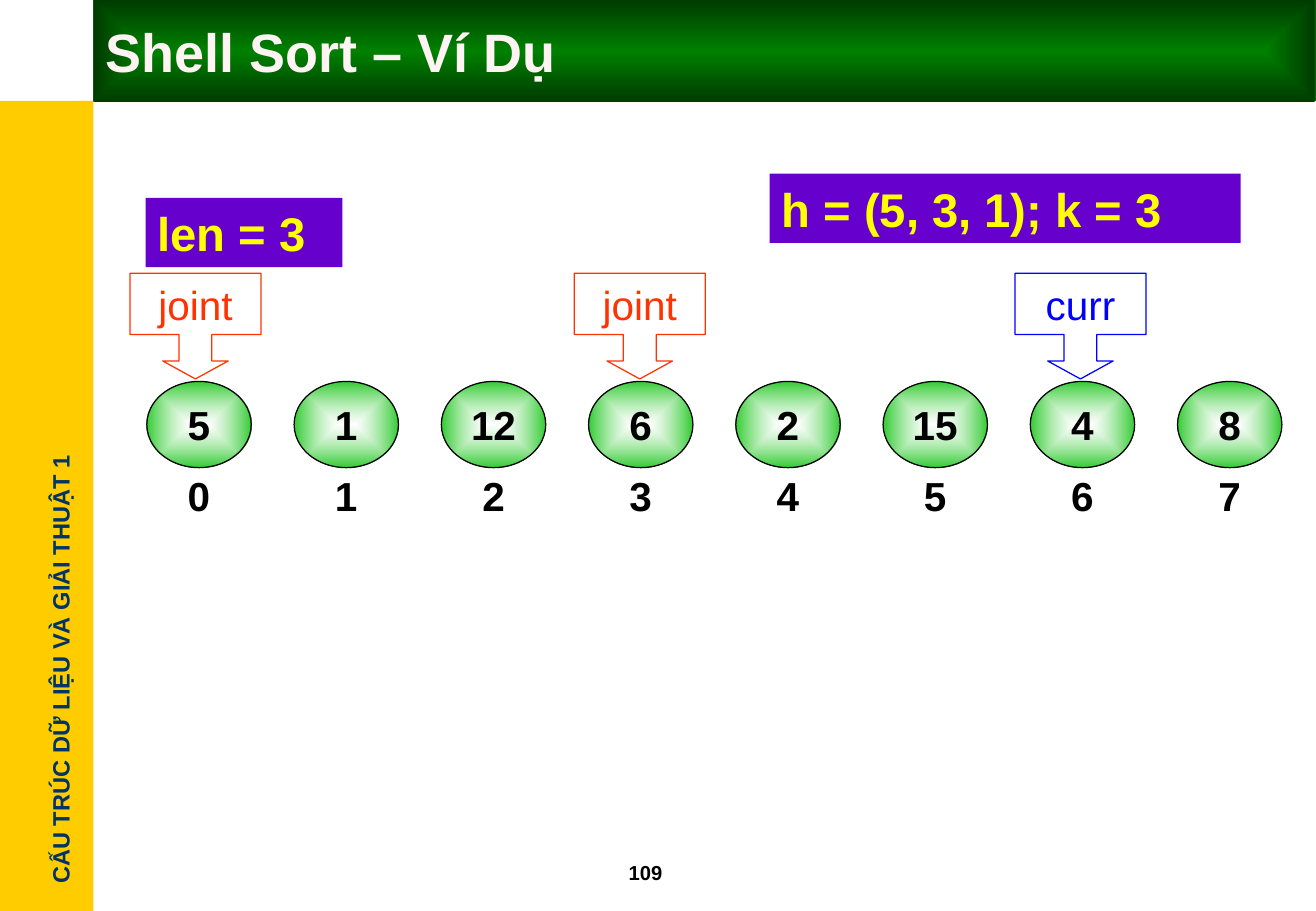
from lxml import etree
from pptx import Presentation
from pptx.dml.color import RGBColor
from pptx.enum.shapes import MSO_SHAPE
from pptx.enum.text import MSO_ANCHOR, MSO_AUTO_SIZE, PP_ALIGN
from pptx.oxml.ns import qn
from pptx.util import Inches, Pt

RECTANGLE = MSO_SHAPE.RECTANGLE
ELLIPSE = MSO_SHAPE.OVAL
CALLOUT = MSO_SHAPE.DOWN_ARROW_CALLOUT
LEFT = PP_ALIGN.LEFT
CENTER = PP_ALIGN.CENTER
MIDDLE = MSO_ANCHOR.MIDDLE
NO_AUTOFIT = MSO_AUTO_SIZE.NONE

BLACK = RGBColor(0x00, 0x00, 0x00)
WHITE = RGBColor(0xFF, 0xFF, 0xFF)
GOLD = RGBColor(0xFF, 0xCC, 0x00)
NAVY = RGBColor(0x00, 0x33, 0x66)
BAND_DARK = RGBColor(0x00, 0x2F, 0x00)
BAND_LIGHT = RGBColor(0x00, 0x66, 0x00)
TITLE_GREEN = RGBColor(0x00, 0x80, 0x00)
TITLE_EDGE = RGBColor(0x00, 0x3B, 0x00)
TITLE_TEXT = RGBColor(0xFF, 0xF3, 0xF3)
BALL_GREEN = RGBColor(0x33, 0xCC, 0x33)
PURPLE = RGBColor(0x66, 0x00, 0xCC)
YELLOW = RGBColor(0xFF, 0xFF, 0x00)
BLUE = RGBColor(0x00, 0x00, 0xFF)
ORANGE = RGBColor(0xFF, 0x33, 0x00)

VALUES = (5, 1, 12, 6, 2, 15, 4, 8)
FIRST_LEFT, LAST_LEFT = 1.21, 9.7
PITCH = (LAST_LEFT - FIRST_LEFT) / (len(VALUES) - 1)
CALLOUT_ADJUSTMENTS = (0.31, 0.31, 0.17, 0.58)
POINTERS = ((8.36, "curr", BLUE), (1.07, "joint", ORANGE), (4.73, "joint", ORANGE))
TAGS = (
    (6.34, 1.43, 3.88, "h = (5, 3, 1); k = 3"),
    (1.2, 1.63, 1.62, "len = 3"),
)


class SlideBuilder:
    font_name = "Arial"

    def __init__(self, slide):
        self.slide = slide

    def add_text(self, shape, text, size, color, bold=True, align=LEFT, wrap=True):
        frame = shape.text_frame
        frame.word_wrap = wrap
        frame.auto_size = NO_AUTOFIT
        frame.vertical_anchor = MIDDLE
        para = frame.paragraphs[0]
        para.alignment = align
        span = para.add_run()
        span.text = text
        span.font.name = self.font_name
        span.font.size = Pt(size)
        span.font.bold = bold
        span.font.color.rgb = color

    def shade(self, shape, start, end, from_center=True, start_alpha=None):
        shape.fill.gradient()
        shape.fill.gradient_angle = 0
        for stop, color in zip(shape.fill.gradient_stops, (start, end)):
            stop.color.rgb = color
        gradient = shape.element.spPr.find(qn("a:gradFill"))
        if from_center:
            gradient.remove(gradient.find(qn("a:lin")))
            center = etree.SubElement(gradient, qn("a:path"), {"path": "rect"})
            sides = dict.fromkeys("ltrb", "50000")
            etree.SubElement(center, qn("a:fillToRect"), sides)
        if start_alpha is not None:
            first_color = next(gradient.iter(qn("a:srgbClr")))
            alpha = str(start_alpha * 1000)
            etree.SubElement(first_color, qn("a:alpha"), {"val": alpha})

    def shape(self, kind, left, top, width, height, fill=None, line=None):
        shape = self.slide.shapes.add_shape(
            kind, Inches(left), Inches(top), Inches(width), Inches(height))
        shape.shadow.inherit = False
        if fill is None:
            shape.fill.background()
        else:
            shape.fill.solid()
            shape.fill.fore_color.rgb = fill
        if line is None:
            shape.line.fill.background()
        else:
            shape.line.color.rgb = line
            shape.line.width = Pt(0.75)
        return shape

    def text_box(self, left, top, width, height, text, size, color, wrap=True, rotation=0):
        box = self.slide.shapes.add_textbox(
            Inches(left), Inches(top), Inches(width), Inches(height))
        box.rotation = rotation
        self.add_text(box, text, size, color, wrap=wrap)

    def title(self, text):
        title = self.slide.shapes.title
        title.left, title.top = Inches(0.77), Inches(0)
        title.width, title.height = Inches(10.06), Inches(0.84)
        title.element.getparent().append(title.element)
        self.shade(title, TITLE_GREEN, TITLE_EDGE)
        self.add_text(title, text, 32, TITLE_TEXT)

    def ball(self, left, value):
        ball = self.shape(ELLIPSE, left, 3.14, 0.86, 0.71, line=BLACK)
        self.shade(ball, WHITE, BALL_GREEN, start_alpha=60)
        self.add_text(ball, str(value), 24, BLACK, align=CENTER)

    def index_label(self, left, index):
        label = self.shape(ELLIPSE, left, 3.72, 0.86, 0.71)
        self.add_text(label, str(index), 24, BLACK, align=CENTER)

    def tag(self, left, top, width, text):
        tag = self.shape(RECTANGLE, left, top, width, 0.57, fill=PURPLE)
        self.add_text(tag, text, 28, YELLOW)

    def pointer(self, left, text, color):
        pointer = self.shape(CALLOUT, left, 2.25, 1.08, 0.87, line=color)
        for position, amount in enumerate(CALLOUT_ADJUSTMENTS):
            pointer.adjustments[position] = amount
        self.add_text(pointer, text, 24, color, bold=False, align=CENTER)


def main():
    deck = Presentation()
    deck.slide_width, deck.slide_height = Inches(10.84), Inches(7.5)
    title_only = deck.slide_layouts[5]
    builder = SlideBuilder(deck.slides.add_slide(title_only))

    builder.shape(RECTANGLE, 0, 0.83, 0.77, 6.67, fill=GOLD)
    builder.text_box(-1.37, 5.34, 3.73, 0.34, "CẤU TRÚC DỮ LIỆU VÀ GIẢI THUẬT 1",
                     14, NAVY, wrap=False, rotation=270)
    band = builder.shape(RECTANGLE, 0.77, 0, 10.07, 0.83)
    builder.shade(band, BAND_DARK, BAND_LIGHT, from_center=False)
    builder.text_box(5.08, 7.03, 0.83, 0.3, "109", 12, BLACK)
    builder.title("Shell Sort – Ví Dụ")

    for index, value in enumerate(VALUES):
        left = FIRST_LEFT + index * PITCH
        builder.ball(left, value)
        builder.index_label(left, index)
    for tag in TAGS:
        builder.tag(*tag)
    for pointer in POINTERS:
        builder.pointer(*pointer)

    deck.save("out.pptx")


if __name__ == "__main__":
    main()
